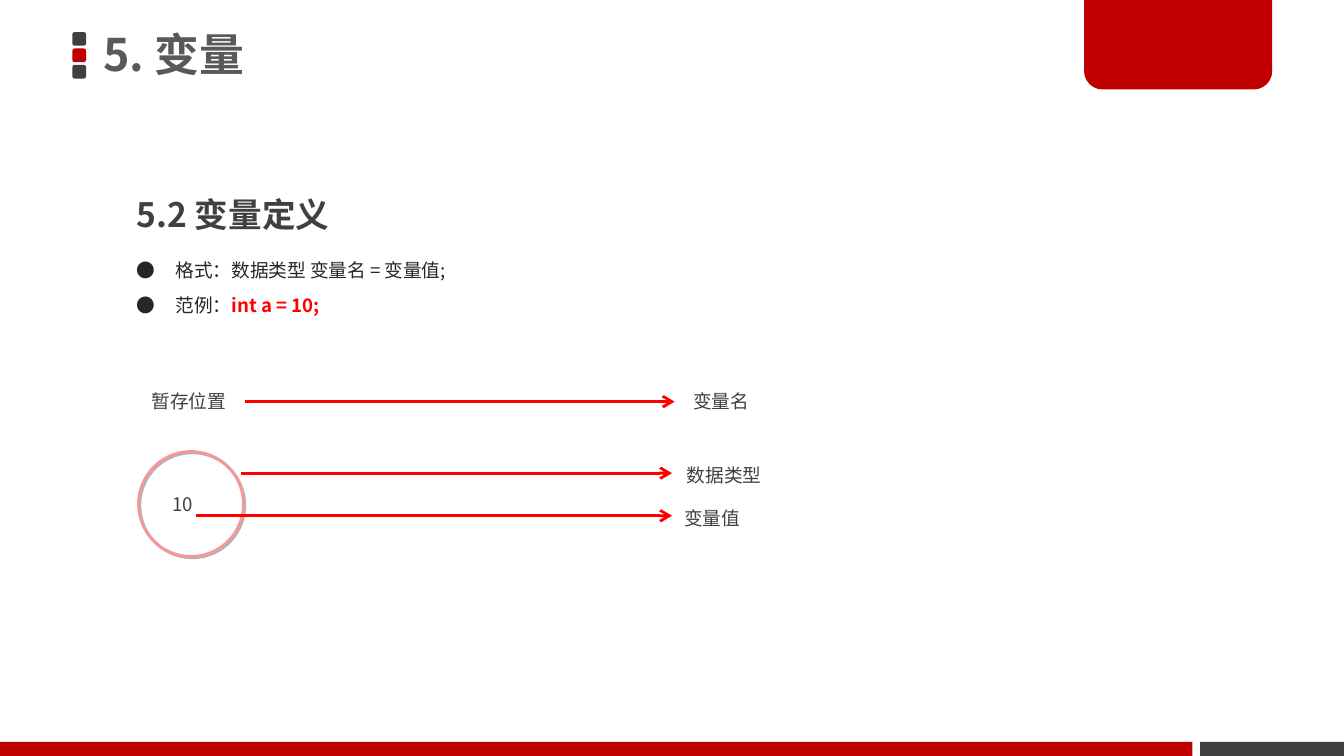
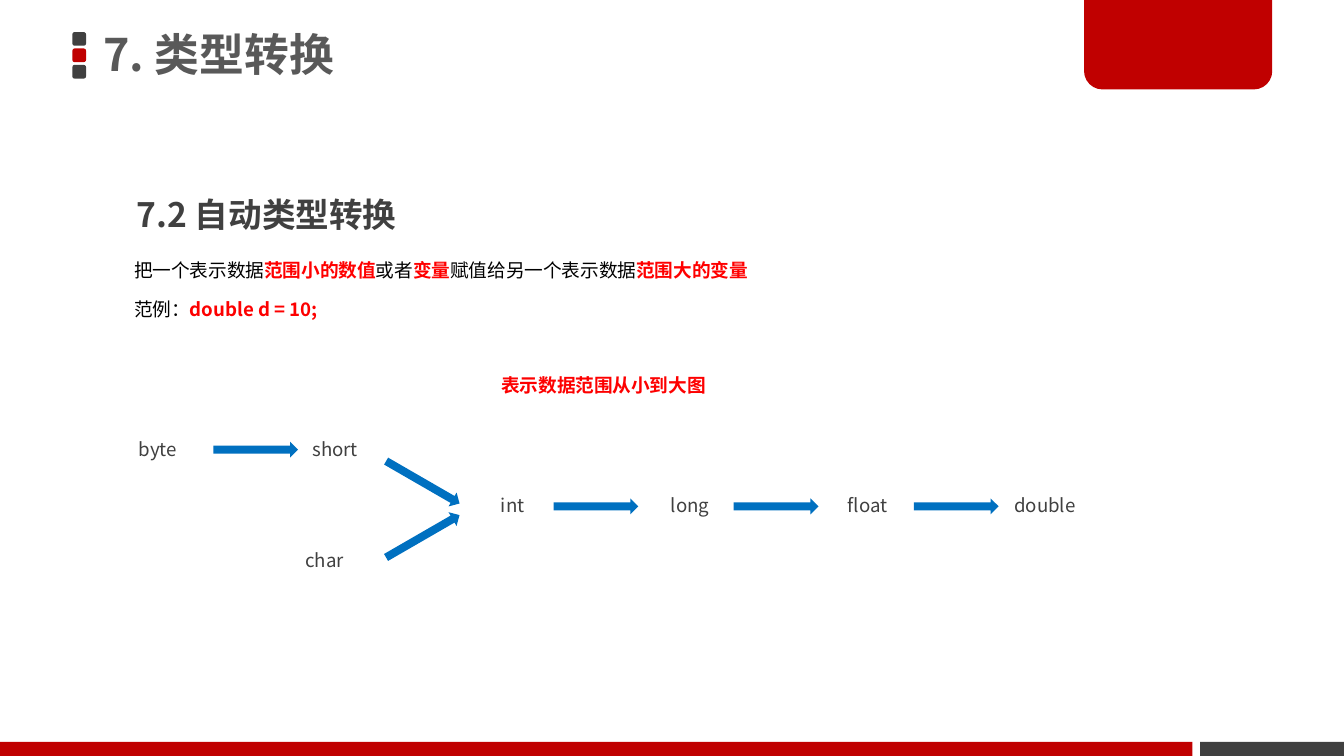
from lxml import etree
from pptx import Presentation
from pptx.dml.color import RGBColor
from pptx.enum import shapes as sh, text as tx
from pptx.oxml import ns
from pptx.util import Pt

FONT = "Noto Sans CJK SC"
RED = RGBColor(0xC0, 0x00, 0x00)
DARK = RGBColor(0x40, 0x40, 0x40)
GREY = RGBColor(0x59, 0x59, 0x59)
INK = RGBColor(0x26, 0x26, 0x26)
BLACK = RGBColor(0x00, 0x00, 0x00)
HOT = RGBColor(0xFF, 0x00, 0x00)
WARM = RGBColor(0xFD, 0x00, 0x00)
PINK = RGBColor(0xF6, 0x98, 0x98)
BLUE = RGBColor(0x00, 0x70, 0xC0)

KIND = sh.MSO_SHAPE
MID = tx.PP_ALIGN.CENTER
WORD_W, WORD_H = 72.7, 19.7
LINE_H = 25.2
INDENT = 11

VAR = {
    "title": "5. 变量",
    "head": "5.2 变量定义",
    "bullets": [
        (128.9, [("格式：数据类型 变量名 = 变量值;", INK)]),
        (147.6, [("范例：", INK), ("int a = 10;", HOT)]),
    ],
    "centred": [("暂存位置", 64.8, 205.2), ("变量名", 349.9, 205.2)],
    "inset": [("10", 74.2, 260.6), ("变量值", 348.5, 267.8),
              ("数据类型", 349.9, 244.8)],
    "lines": [(131, 361.4, 215.2), (129, 360, 253.5), (105, 360, 276.3)],
}

CAST = {
    "title": "7. 类型转换",
    "head": "7.2 自动类型转换",
    "notes": [
        (128.9, 445.7, [("把一个表示数据", BLACK), ("范围小的数值", HOT),
                        ("或者", BLACK), ("变量", HOT),
                        ("赋值给另一个表示数据", BLACK), ("范围大的变量", HOT)]),
        (149.8, 539.3, [("范例：", BLACK), ("double d = 10;", WARM)]),
    ],
    "label": "表示数据范围从小到大图",
    "upper": ["byte", "short"],
    "chain": ["int", "long", "float", "double"],
    "lower": "char",
}


def add_text(page, box, runs, size=10, gap=1.0, align=None, indent=0):
    frame = page.shapes.add_textbox(*map(Pt, box)).text_frame
    frame.word_wrap = True
    frame.auto_size = tx.MSO_AUTO_SIZE.SHAPE_TO_FIT_TEXT
    para = frame.paragraphs[0]
    para.line_spacing = gap
    para.alignment = align
    if indent:
        para._p.get_or_add_pPr().set("marL", str(Pt(indent)))
    for words, tone in runs:
        run = para.add_run()
        run.text = words
        font = run.font
        font.name, font.size = FONT, Pt(size)
        font.bold = size > 10 or tone in (HOT, WARM)
        font.color.rgb = tone
        east = etree.SubElement(run._r.get_or_add_rPr(), ns.qn("a:ea"))
        east.set("typeface", FONT)
    return frame


def add_bullet(frame):
    props = frame.paragraphs[0]._p.get_or_add_pPr()
    props.set("marL", str(Pt(20.9)))
    props.set("indent", str(-Pt(20.9)))
    tone = etree.SubElement(props, ns.qn("a:buClr"))
    etree.SubElement(tone, ns.qn("a:srgbClr")).set("val", str(INK))
    etree.SubElement(props, ns.qn("a:buFont")).set("typeface", FONT)
    etree.SubElement(props, ns.qn("a:buChar")).set("char", "●")


def add_block(page, kind, box, fill, adjust=()):
    block = page.shapes.add_shape(kind, *map(Pt, box))
    block.shadow.inherit = False
    block.fill.solid()
    block.fill.fore_color.rgb = fill
    block.line.fill.background()
    for spot, size in enumerate(adjust):
        block.adjustments[spot] = size
    return block


def add_ring(page):
    ring = page.shapes.add_shape(KIND.OVAL, *map(Pt, (74.2, 241.9, 56.2, 56.2)))
    ring.fill.background()
    ring.line.color.rgb = PINK
    ring.line.width = Pt(1.5)
    ring.shadow.inherit = False
    effects = ring._element.spPr.find(ns.qn("a:effectLst"))
    shade = etree.SubElement(effects, ns.qn("a:outerShdw"), blurRad="0",
                             dist=str(Pt(1)), dir="2700000", algn="tl",
                             rotWithShape="0")
    tone = etree.SubElement(shade, ns.qn("a:srgbClr"), val=str(BLACK))
    etree.SubElement(tone, ns.qn("a:alpha"), val="30000")


def add_line(page, left, right, y):
    line = page.shapes.add_connector(
        sh.MSO_CONNECTOR.STRAIGHT, Pt(left), Pt(y), Pt(right), Pt(y))
    line.line.color.rgb = HOT
    line.line.width = Pt(1.5)
    etree.SubElement(line.line._get_or_add_ln(), ns.qn("a:tailEnd"), type="arrow")
    etree.SubElement(line._element.spPr, ns.qn("a:effectLst"))


def add_word(page, word, left, top):
    add_text(page, (left, top, WORD_W, WORD_H), [(word, DARK)], align=MID)


def add_arrow(page, left, top, turn=0):
    arrow = add_block(page, KIND.RIGHT_ARROW, (left, top, 45.4, 8.6), BLUE, (0.5, 0.5))
    arrow.rotation = turn


def add_page(deck, data):
    page = deck.slides.add_slide(deck.slide_layouts[6])
    for row, fill in enumerate((DARK, RED, DARK)):
        add_block(page, KIND.ROUNDED_RECTANGLE,
                  (38.8, 17.2 + 8.8 * row, 7.3, 7.3), fill, (0.17,))
    add_block(page, KIND.RECTANGLE, (643, 397.5, 77, 7.5), DARK)
    add_block(page, KIND.ROUND_2_SAME_RECTANGLE,
              (580.8, -1.4, 100.8, 49.3), RED, (0, 0.2))
    add_block(page, KIND.RECTANGLE, (0, 397.5, 638.8, 7.5), RED)
    title = add_text(page, (49.7, -1.4, 424, 64), [(data["title"], GREY)], 24, 0.9)
    title.auto_size = tx.MSO_AUTO_SIZE.NONE
    title.vertical_anchor = tx.MSO_ANCHOR.MIDDLE
    title.margin_left = title.margin_right = Pt(5.8)
    title.margin_top = title.margin_bottom = Pt(2.9)
    add_text(page, (66.2, 89.3, 276.5, 39.6), [(data["head"], DARK)], 18, 1.5)
    return page


def draw_var(deck):
    page = add_page(deck, VAR)
    for word, left, top in VAR["centred"]:
        add_word(page, word, left, top)
    add_ring(page)
    for word, left, top in VAR["inset"]:
        add_text(page, (left, top, WORD_W, WORD_H), [(word, DARK)], indent=INDENT)
    for ends in VAR["lines"]:
        add_line(page, *ends)
    for top, runs in VAR["bullets"]:
        add_bullet(add_text(page, (66.2, top, 445.7, LINE_H), runs, gap=1.5))


def draw_cast(deck):
    page = add_page(deck, CAST)
    for top, width, runs in CAST["notes"]:
        add_text(page, (64.8, top, width, LINE_H), runs, gap=1.5)
    left, step = 48.2, 95.04
    high, mid, low = 231.1, 261.2, 290.3
    upper, chain = CAST["upper"], CAST["chain"]
    for col, word in enumerate(upper + chain):
        add_word(page, word, left + step * col, high if word in upper else mid)
    add_word(page, CAST["lower"], 137.5, low)
    add_arrow(page, 114.3, 236.6)
    for col in range(len(chain) - 1):
        add_arrow(page, 296.6 + 96.5 * col, 267)
    for top, turn in ((254.1, 30), (283, 330)):
        add_arrow(page, 203.8, top, turn)
    add_text(page, (261.4, 190.8, 359.3, LINE_H), [(CAST["label"], WARM)], gap=1.5)


def main():
    deck = Presentation()
    deck.slide_width, deck.slide_height = Pt(720), Pt(405)
    draw_var(deck)
    draw_cast(deck)
    deck.save("out.pptx")


if __name__ == "__main__":
    main()
